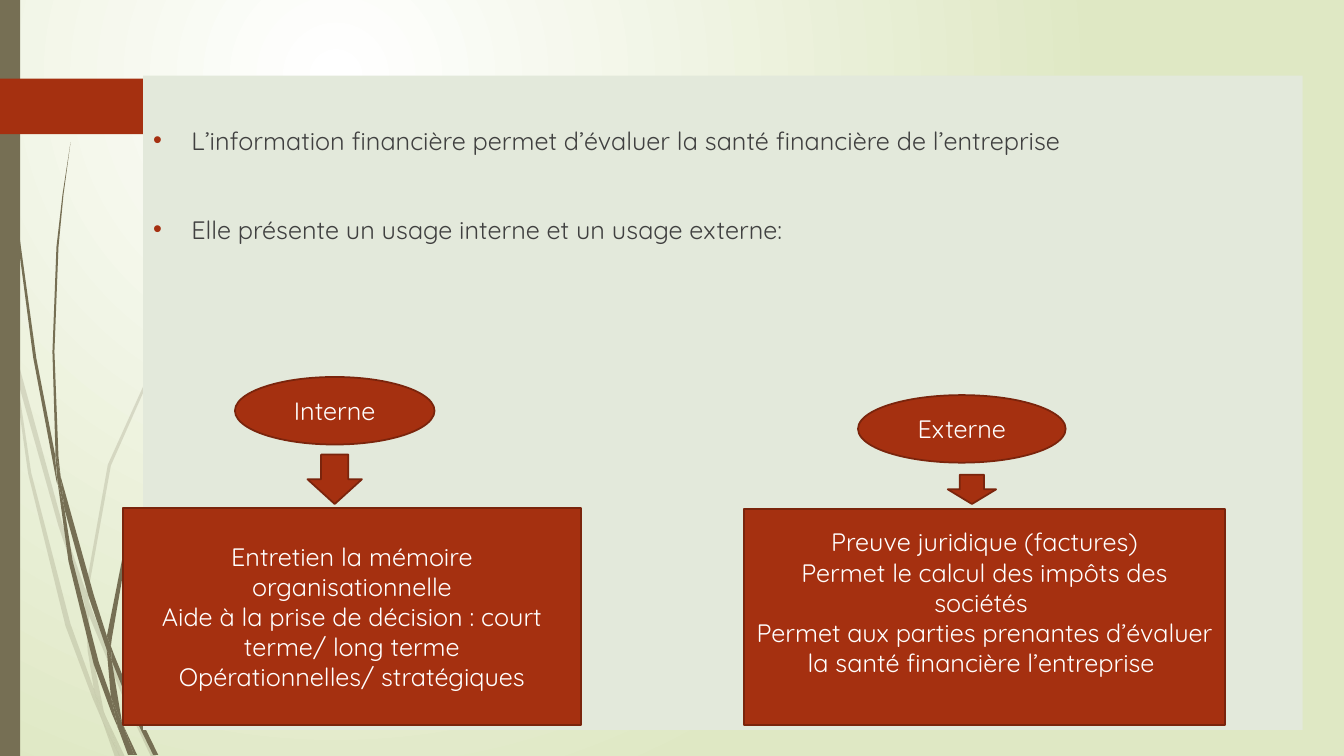
from lxml import etree
from pptx import Presentation
from pptx.dml.color import RGBColor
from pptx.enum.shapes import MSO_SHAPE
from pptx.enum.text import MSO_ANCHOR, PP_ALIGN
from pptx.oxml import parse_xml
from pptx.oxml.ns import qn
from pptx.util import Inches, Pt

RECTANGLE = MSO_SHAPE.RECTANGLE
OVAL = MSO_SHAPE.OVAL
DOWN_ARROW = MSO_SHAPE.DOWN_ARROW
TAB = MSO_SHAPE.PENTAGON
LEFT, CENTER = PP_ALIGN.LEFT, PP_ALIGN.CENTER
TOP, MIDDLE = MSO_ANCHOR.TOP, MSO_ANCHOR.MIDDLE

RUST, RUST_DARK, OLIVE = "A53010", "7A240C", "766F54"
SAGE, GREY, WHITE, PALE_GREEN = "E3E9DB", "404040", "FFFFFF", "DFE8C4"
FONT = "Quicksand"
DRAWING_NS = "http://schemas.openxmlformats.org/drawingml/2006/main"

FADED_BLADES = [
    [(0.11, 3.5), (0.09, 3.22), (0, 2.82), (0, 2.99), (0.1, 3.44)],
    [(0.58, 5.22), (0.84, 5.99), (0.85, 5.86), (0.62, 5.2), (0.14, 3.45), (0.17, 3.76)],
    [(0.92, 6.07), (0.88, 5.96), (0.88, 6.1), (1.23, 6.94), (1.5, 7.51), (1.55, 7.51),
     (1.27, 6.92)],
    [(1.19, 7.51), (1.24, 7.51), (1.05, 7.11)],
    [(0.93, 6.83), (0.7, 6.19), (0.31, 4.69), (0.17, 3.76), (0.11, 3.5), (0.28, 4.7),
     (0.65, 6.21), (0.92, 6.93), (1.01, 7.14), (0.99, 7.07)],
    [(0.84, 5.99), (0.87, 6.46), (0.93, 6.83), (0.96, 6.92), (1.05, 7.11), (1.03, 7.06),
     (0.91, 6.46), (0.88, 6.1), (0.88, 6.08)],
    [(0.88, 5.84), (1.1, 4.62), (1.6, 3.49), (2.29, 2.45), (2.68, 1.98), (2.9, 1.75),
     (3.12, 1.54), (3.12, 1.53), (2.89, 1.75), (2.68, 1.97), (2.28, 2.44), (1.58, 3.48),
     (1.07, 4.61), (0.85, 5.84), (0.85, 5.86), (0.88, 5.96)],
    [(1.01, 7.14), (1.14, 7.51), (1.19, 7.51)],
    [(0.88, 6.08), (0.88, 6.1), (0.88, 5.96), (0.85, 5.86), (0.84, 5.99)],
    [(0.96, 6.92), (0.93, 6.83), (0.99, 7.07), (1.01, 7.14), (1.19, 7.51), (1.05, 7.11)],
]
SOLID_BLADES = [
    [(0.07, 1.1), (0.17, 2.33), (0.33, 3.55), (0.56, 4.77), (0.57, 4.81), (0.55, 4.57),
     (0.55, 4.53), (0.36, 3.55), (0.19, 2.32), (0.08, 1.09), (0.05, 0.48), (0.04, 0),
     (0.03, 0), (0.04, 0.48)],
    [(0.88, 5.92), (1.06, 6.45), (1.06, 6.31), (0.93, 5.9), (0.6, 4.72), (0.64, 5.05)],
    [(1.13, 6.49), (1.1, 6.41), (1.11, 6.56), (1.32, 7.08), (1.52, 7.49), (1.57, 7.49),
     (1.36, 7.06)],
    [(1.1, 6.91), (0.98, 6.57), (0.72, 5.56), (0.64, 5.05), (0.57, 4.77), (0.68, 5.57),
     (0.93, 6.59), (1.11, 7.08), (1.17, 7.22), (1.16, 7.17)],
    [(0.6, 4.72), (0.58, 4.53), (0.54, 3.49), (0.58, 2.45), (0.63, 1.93), (0.7, 1.41),
     (0.62, 1.93), (0.56, 2.45), (0.52, 3.49), (0.55, 4.49)],
    [(1.33, 7.49), (1.36, 7.49), (1.22, 7.19)],
    [(0.57, 4.77), (0.64, 5.05), (0.6, 4.72), (0.55, 4.49), (0.55, 4.53)],
    [(1.11, 6.33), (1.25, 5.52), (1.58, 4.76), (2.05, 4.06), (2.31, 3.74), (2.45, 3.59),
     (2.61, 3.44), (2.6, 3.44), (2.45, 3.58), (2.31, 3.73), (2.04, 4.05), (1.56, 4.74),
     (1.22, 5.51), (1.06, 6.31), (1.1, 6.41)],
    [(1.17, 7.22), (1.27, 7.49), (1.31, 7.49)],
    [(1.06, 6.45), (1.1, 6.91), (1.16, 7.06), (1.22, 7.19), (1.21, 7.16), (1.11, 6.56),
     (1.09, 6.51)],
    [(1.06, 6.45), (1.09, 6.51), (1.11, 6.56), (1.1, 6.41), (1.06, 6.31)],
    [(1.16, 7.06), (1.1, 6.91), (1.16, 7.17), (1.17, 7.22), (1.3, 7.49), (1.33, 7.49),
     (1.22, 7.19)],
]


def color(hex_code):
    return RGBColor.from_string(hex_code)


def paint(shape, fill, outline=None):
    shape.shadow.inherit = False
    shape.fill.solid()
    shape.fill.fore_color.rgb = color(fill)
    if outline:
        shape.line.color.rgb = color(outline)
        shape.line.width = Pt(1.25)
    else:
        shape.line.fill.background()
    return shape


def add_block(slide, preset, box, fill, outline=None):
    return paint(slide.shapes.add_shape(preset, *map(Inches, box)), fill, outline)


def write(shape, lines, ink=WHITE, align=CENTER, anchor=MIDDLE,
          top=0.05, bottom=0.05, gap=0):
    frame = shape.text_frame
    frame.word_wrap = True
    frame.vertical_anchor = anchor
    frame.margin_top, frame.margin_bottom = Inches(top), Inches(bottom)
    for index, line in enumerate(lines):
        paragraph = frame.add_paragraph() if index else frame.paragraphs[0]
        paragraph.alignment = align
        paragraph.space_before = Pt(gap if index else 0)
        run = paragraph.add_run()
        run.text = line
        run.font.size = Pt(18)
        run.font.name = FONT
        run.font.color.rgb = color(ink)
    return frame


def add_bullet(paragraph, indent):
    properties = paragraph._p.get_or_add_pPr()
    properties.set("marL", str(Inches(indent)))
    properties.set("indent", str(-Inches(indent)))
    tint = etree.SubElement(properties, qn("a:buClr"))
    etree.SubElement(tint, qn("a:srgbClr"), val=RUST)
    etree.SubElement(properties, qn("a:buFont"), typeface="Arial")
    etree.SubElement(properties, qn("a:buChar"), char="•")


def draw_blade(slide, outline, opacity):
    start, *rest = [(Inches(x), Inches(y)) for x, y in outline]
    builder = slide.shapes.build_freeform(*start)
    builder.add_line_segments(rest, close=True)
    blade = paint(builder.convert_to_shape(), OLIVE)
    if opacity < 100:
        tint = blade._element.spPr.find(qn("a:solidFill"))[0]
        etree.SubElement(tint, qn("a:alpha"), val=str(opacity * 1000))


def draw_background(slide):
    slide.background.fill.solid()
    properties = slide._element.cSld.find(qn("p:bg")).find(qn("p:bgPr"))
    glow = parse_xml(
        f'<a:gradFill xmlns:a="{DRAWING_NS}" rotWithShape="1"><a:gsLst>'
        f'<a:gs pos="0"><a:srgbClr val="{WHITE}"/></a:gs>'
        f'<a:gs pos="100000"><a:srgbClr val="{PALE_GREEN}"/></a:gs></a:gsLst>'
        '<a:path path="circle"><a:fillToRect l="25000" t="10000" '
        'r="75000" b="90000"/></a:path></a:gradFill>')
    properties.replace(properties.find(qn("a:solidFill")), glow)


def draw_decor(slide):
    for opacity, blades in ((20, FADED_BLADES), (100, SOLID_BLADES)):
        for outline in blades:
            draw_blade(slide, outline, opacity)
    add_block(slide, RECTANGLE, (0, 0, 0.2, 7.5), OLIVE)
    tab = add_block(slide, TAB, (0, 0.78, 1.74, 0.55), RUST)
    tab.adjustments[0] = 0.45


def draw_panel(slide, box):
    panel = add_block(slide, RECTANGLE, box, SAGE)
    frame = write(panel, [
        "L’information financière permet d’évaluer la santé financière de l’entreprise",
        "Elle présente un usage interne et un usage externe:",
    ], ink=GREY, align=LEFT, anchor=TOP, top=0.49, gap=42)
    for paragraph in frame.paragraphs:
        add_bullet(paragraph, 0.38)


def draw_usage(slide, box, heading, heading_box, arrow_box, details, bottom=0.05):
    left, top = box[:2]
    for preset, (dx, dy, width, height), lines in (
            (OVAL, heading_box, [heading]), (DOWN_ARROW, arrow_box, [])):
        part = add_block(slide, preset, (left + dx, top + dy, width, height),
                         RUST, RUST_DARK)
        write(part, lines)
    write(add_block(slide, RECTANGLE, box, RUST, RUST_DARK), details, bottom=bottom)


def main():
    deck = Presentation()
    deck.slide_width, deck.slide_height = Inches(13.33), Inches(7.5)
    slide = deck.slides.add_slide(deck.slide_layouts[6])
    draw_background(slide)
    draw_decor(slide)
    draw_panel(slide, (1.42, 0.75, 11.5, 6.49))
    draw_usage(slide, (1.22, 5.04, 4.54, 2.15), "Interne",
               (1.11, -1.3, 1.98, 0.67), (1.83, -0.53, 0.54, 0.49),
               ["Entretien la mémoire organisationnelle",
                "Aide à la prise de décision : court terme/ long terme",
                "Opérationnelles/ stratégiques"])
    draw_usage(slide, (7.38, 5.05, 4.77, 2.14), "Externe",
               (1.13, -1.13, 2.06, 0.67), (2.02, -0.34, 0.48, 0.29),
               ["Preuve juridique (factures)",
                "Permet le calcul des impôts des sociétés ",
                "Permet aux parties prenantes d’évaluer la santé financière l’entreprise "],
               bottom=0.34)
    deck.save("out.pptx")


if __name__ == "__main__":
    main()
